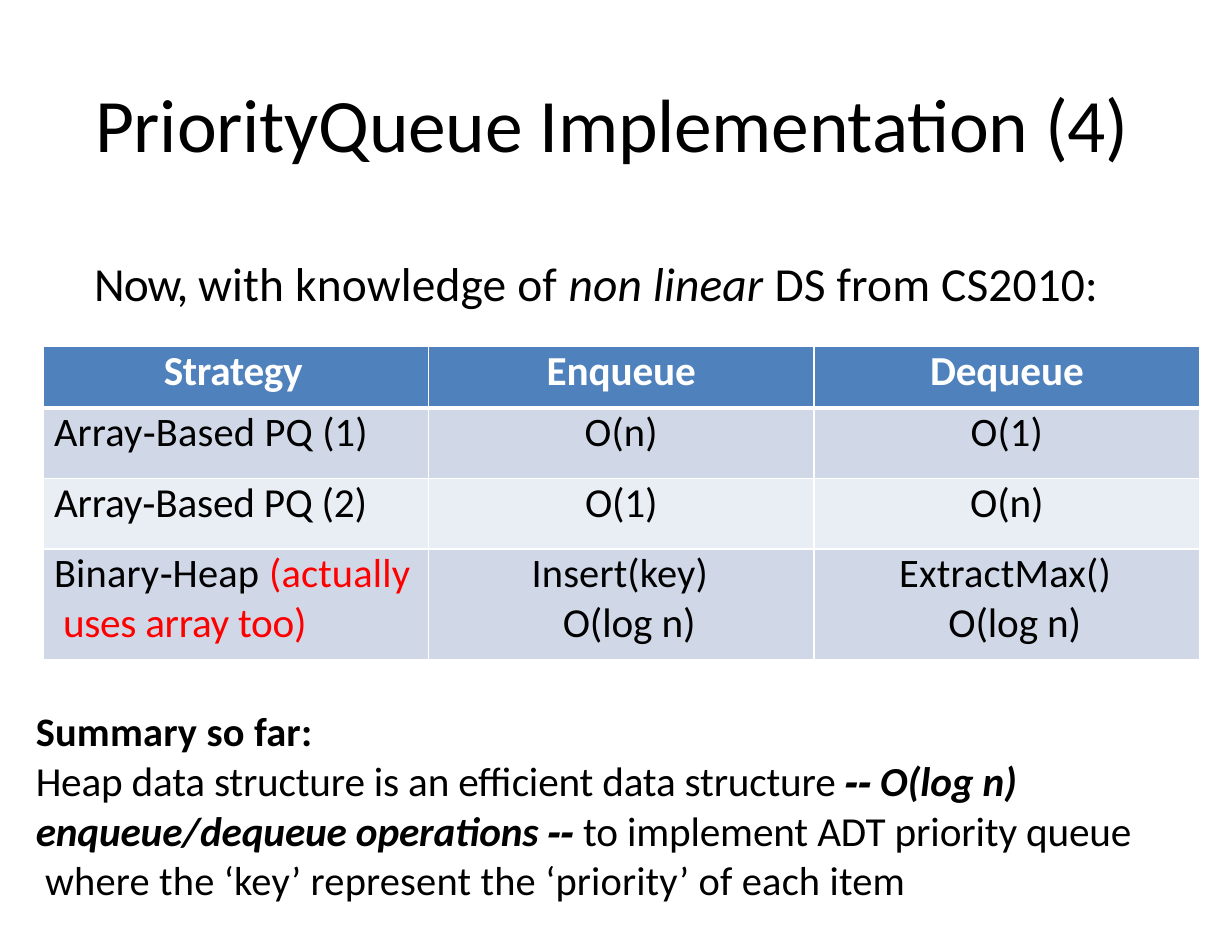
import dataclasses
import typing

import lxml.etree
import pptx
import pptx.dml.color
import pptx.enum.text
import pptx.oxml.ns
import pptx.util

ALIGN = pptx.enum.text.PP_ALIGN


@dataclasses.dataclass(frozen=True)
class Theme:
    """Colours, font and type sizes of the slide."""
    font: str = "Calibri"
    ink: str = "000000"
    white: str = "FFFFFF"
    red: str = "FF0000"
    head: str = "4F81BD"
    dark: str = "D0D8E8"
    pale: str = "E9EDF4"
    title: float = 48.5
    lead: float = 30.5
    body: float = 26.5
    small: float = 26
    thin: float = 1.1
    thick: float = 3.3


THEME = Theme()


@dataclasses.dataclass(frozen=True)
class Run:
    """Text in one format; gap is the letter spacing in points."""
    text: str
    size: float = THEME.body
    gap: float = -0.1
    color: str = THEME.ink
    bold: bool = False
    slant: bool = False


@dataclasses.dataclass(frozen=True)
class Para:
    """Runs of one paragraph; margin and indent are in inches."""
    runs: tuple[Run, ...]
    form: dict[str, typing.Any] = dataclasses.field(default_factory=dict)
    margin: float = 0
    indent: float = 0


@dataclasses.dataclass(frozen=True)
class Box:
    """A text box, placed in percent of the slide."""
    left: float
    top: float
    width: float
    height: float
    paras: tuple[Para, ...]


def apply(item: typing.Any, form: dict[str, typing.Any]) -> None:
    """Set every attribute named in a format dict."""
    for name, value in form.items():
        setattr(item, name, value)


def write(frame: typing.Any, paras: tuple[Para, ...]) -> None:
    """Fill a text frame; a newline in a run is a line break."""
    for index, para in enumerate(paras):
        line = frame.add_paragraph() if index else frame.paragraphs[0]
        apply(line, para.form)
        if para.margin:
            props = line._p.get_or_add_pPr()
            props.set("marL", str(pptx.util.Inches(para.margin)))
            props.set("indent", str(pptx.util.Inches(para.indent)))
        for run in para.runs:
            for part, text in enumerate(run.text.split("\n")):
                if part:
                    line.add_line_break()
                if not text:
                    continue
                piece = line.add_run()
                piece.text = text
                apply(piece.font, {"name": THEME.font, "bold": run.bold,
                                   "size": pptx.util.Pt(run.size), "italic": run.slant})
                piece.font.color.rgb = pptx.dml.color.RGBColor.from_string(run.color)
                piece._r.get_or_add_rPr().set("spc", str(round(run.gap * 100)))


def edge(cell: typing.Any, widths: dict[str, float]) -> None:
    """Draw white borders, ahead of the cell's fill."""
    props = cell._tc.get_or_add_tcPr()
    name = pptx.oxml.ns.qn
    for index, (side, width) in enumerate(widths.items()):
        line = lxml.etree.Element(name("a:ln" + side), w=str(pptx.util.Pt(width)))
        fill = lxml.etree.SubElement(line, name("a:solidFill"))
        lxml.etree.SubElement(fill, name("a:srgbClr"), val=THEME.white)
        props.insert(index, line)


def place(deck: typing.Any, left: float, top: float, width: float, height: float) -> tuple[int, ...]:
    """Turn percents of the slide into lengths."""
    wide, high = deck.slide_width / 100, deck.slide_height / 100
    return round(left * wide), round(top * high), round(width * wide), round(height * high)


def draw_box(deck: typing.Any, slide: typing.Any, box: Box) -> None:
    """Add one text box."""
    frame = slide.shapes.add_textbox(
        *place(deck, box.left, box.top, box.width, box.height)).text_frame
    apply(frame, {"margin_left": 0, "margin_right": 0, "margin_top": 0, "margin_bottom": 0,
                  "word_wrap": True, "auto_size": pptx.enum.text.MSO_AUTO_SIZE.SHAPE_TO_FIT_TEXT})
    write(frame, box.paras)


def draw_table(deck: typing.Any, slide: typing.Any, rows: tuple[tuple[Para, ...], ...]) -> None:
    """Add the table of strategies and their costs."""
    highs = (6.47, 7.41, 7.41, 11.65)
    fills = (THEME.head, THEME.dark, THEME.pale, THEME.dark)
    table = slide.shapes.add_table(
        len(rows), len(rows[0]), *place(deck, 3.48, 36.4, 93.9, sum(highs))).table
    apply(table, {"first_row": False, "horz_banding": False})
    for r, row in enumerate(rows):
        table.rows[r].height = round(deck.slide_height * highs[r] / 100)
        for c, para in enumerate(row):
            cell = table.cell(r, c)
            apply(cell, {"margin_left": 0, "margin_right": 0, "margin_top": 0, "margin_bottom": 0})
            cell.fill.solid()
            cell.fill.fore_color.rgb = pptx.dml.color.RGBColor.from_string(fills[r])
            edge(cell, {"L": THEME.thin, "R": THEME.thin,
                        "T": THEME.thick if r == 1 else THEME.thin,
                        "B": THEME.thick if r == 0 else THEME.thin})
            write(cell.text_frame, (para,))


def above(points: float, **more: typing.Any) -> dict[str, typing.Any]:
    """Give a paragraph format with space before it."""
    return {"space_before": pptx.util.Pt(points), **more}


def head(text: str) -> Para:
    """Give a centred heading cell."""
    return Para((Run(text, color=THEME.white, bold=True),), above(1.6, alignment=ALIGN.CENTER))


def plain(name: str, costs: tuple[str, ...], size: float, gap: float, space: float) -> tuple[Para, ...]:
    """Give a row with a name and centred costs."""
    return (Para((Run(name, size, gap),), above(space), 0.1),
            *(Para((Run(cost, size, gap),), above(space, alignment=ALIGN.CENTER))
              for cost in costs))


def heap(call: str, indent: float) -> Para:
    """Give a heap cell: the call with its cost below."""
    return Para((Run(call + "\n", THEME.small, 0.1), Run("O(log n)")), above(2.1), 1.2, indent)


ROWS = (
    (Para((Run("Strategy", gap=-0.2, color=THEME.white, bold=True),), above(1.6), 1.08),
     head("Enqueue"), head("Dequeue")),
    plain("Array‐Based PQ (1)", ("O(n)", "O(1)"), THEME.small, 0.1, 1),
    plain("Array‐Based PQ (2)", ("O(1)", "O(n)"), THEME.body, -0.15, 1.6),
    (Para((Run("Binary‐Heap ", THEME.small, 0.1),
           Run("(actually\n", THEME.small, 0.1, THEME.red),
           Run("uses array too)", gap=-0.2, color=THEME.red)), above(2.1), 0.18, -0.08),
     heap("Insert(key)", -0.28), heap("ExtractMax()", -0.44)),
)

BOXES = (
    Box(7.73, 8.12, 84.6, 10.12, (
        Para((Run("PriorityQueue Implementation (4)", THEME.title, -0.15),)),)),
    Box(2.91, 74.12, 89.4, 21.06, (
        Para((Run("Summary so far:", THEME.small, 0.1, bold=True),),
             {"line_spacing": pptx.util.Pt(31.2)}),
        Para((Run("Heap data structure is an efficient data structure ", gap=-0.15),
              Run("‐‐ O(log n)\nenqueue/dequeue operations ‐‐ ", bold=True, slant=True),
              Run("to implement ADT priority queue\n"),
              Run(" where the ‘key’ represent the ‘priority’ of each item", THEME.small, 0.1)),
             above(1.1, line_spacing=pptx.util.Pt(31.7))))),
    Box(7.64, 26.71, 82.3, 6.35, (
        Para((Run("Now, ", THEME.lead, -0.6),
              Run("with knowledge of ", THEME.lead, 0.1),
              Run("non linear ", THEME.lead, 0.1, slant=True),
              Run("DS from CS2010:", THEME.lead, 0.1))),)),
)


def main() -> None:
    """Build the slide and save it."""
    deck = pptx.Presentation()
    apply(deck, {"slide_width": pptx.util.Inches(11), "slide_height": pptx.util.Inches(8.5)})
    slide = deck.slides.add_slide(deck.slide_layouts[6])
    draw_table(deck, slide, ROWS)
    for box in BOXES:
        draw_box(deck, slide, box)
    deck.save("out.pptx")


main()
